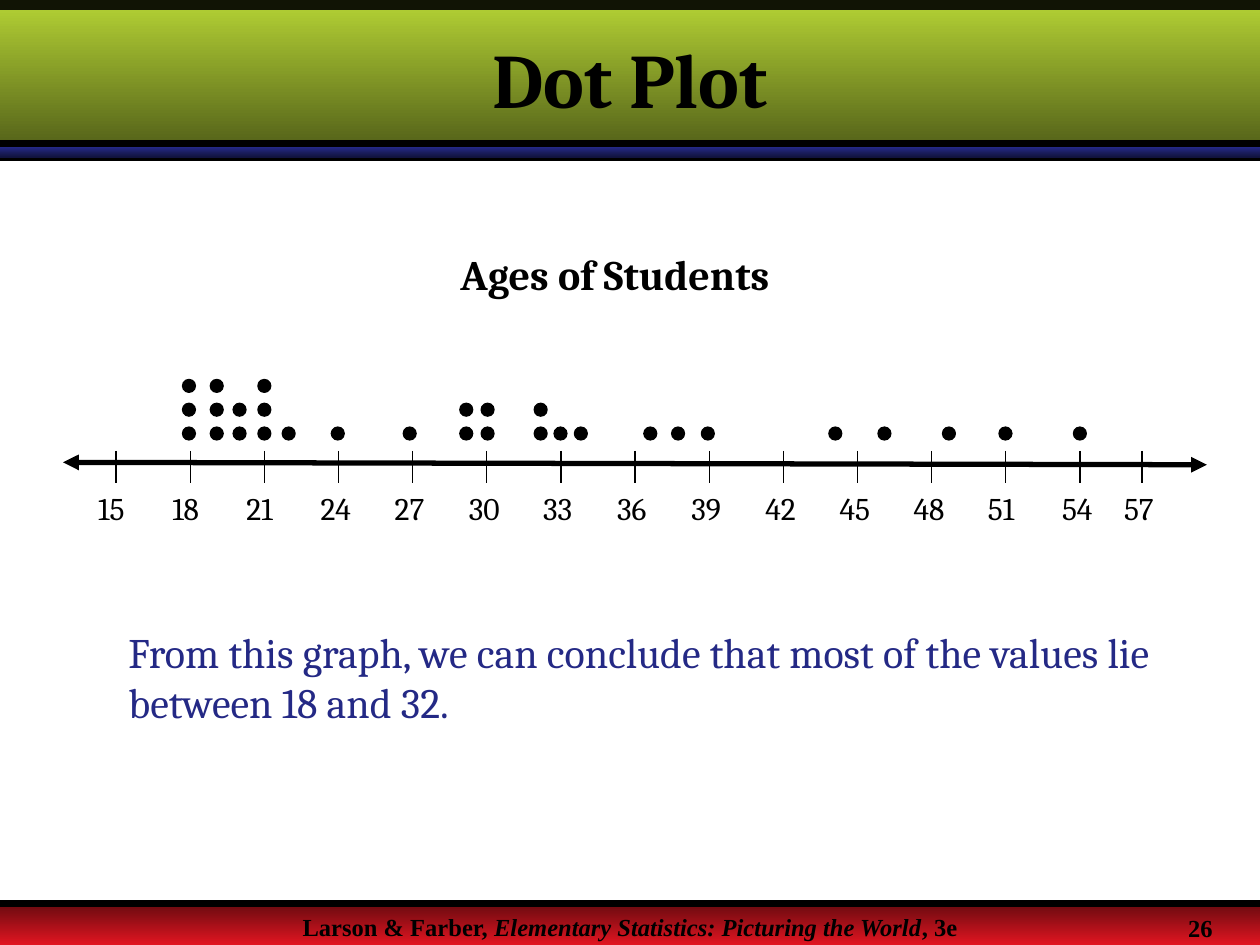
from lxml import etree
from pptx import Presentation
from pptx.dml.color import RGBColor
from pptx.enum.shapes import MSO_CONNECTOR, MSO_SHAPE
from pptx.enum.text import MSO_ANCHOR, PP_ALIGN
from pptx.oxml.ns import qn
from pptx.util import Cm, Pt

RECT, OVAL, STRAIGHT = MSO_SHAPE.RECTANGLE, MSO_SHAPE.OVAL, MSO_CONNECTOR.STRAIGHT
LEFT, CENTER = PP_ALIGN.LEFT, PP_ALIGN.CENTER
TOP, MIDDLE = MSO_ANCHOR.TOP, MSO_ANCHOR.MIDDLE

COLORS = {
    "black": "000000", "navy": "242985", "navy dark": "11133E",
    "green": "B5D335", "green dark": "546219",
    "red": "E11521", "red dark": "680A0F",
}
SERIF, BODY = "Times New Roman", "Cambria"
WIDTH, HEIGHT = 25.4, 19.05

# Content: lengths in cm
TITLE = "Dot Plot"
CHART_TITLE = "Ages of Students"
CONCLUSION = ("From this graph, we can conclude that most of the values lie "
              "between 18 and 32.")
FOOTER = [("Larson & Farber, ", False),
          ("Elementary Statistics: Picturing the World", True),
          (", 3e", False)]
PAGE = "26"

# (age, number of students, centre of the column)
DOTS = [
    (18, 3, 3.81), (19, 3, 4.37), (20, 2, 4.83), (21, 3, 5.33), (22, 1, 5.82),
    (24, 1, 6.81), (27, 1, 8.26), (29, 2, 9.4), (30, 2, 9.83), (32, 2, 10.9),
    (33, 1, 11.3), (34, 1, 11.71), (37, 1, 13.11), (38, 1, 13.67),
    (39, 1, 14.27), (44, 1, 16.84), (46, 1, 17.83), (49, 1, 19.13),
    (51, 1, 20.27), (54, 1, 21.77),
]
DOT, DOT_TOP, DOT_PITCH = 0.26, 8.61, 0.48

# Evenly spaced ticks; the final one sits closer to its neighbour
AGES = list(range(15, 55, 3))
FIRST_TICK, LAST_EVEN_TICK = 2.34, 21.77
END_TICK = (57, 23.02)
TICK_TOP, TICK_BOTTOM, LABEL_SHIFT = 9.09, 9.74, 0.61

prs = Presentation()
prs.slide_width, prs.slide_height = Cm(WIDTH), Cm(HEIGHT)
s = prs.slides.add_slide(prs.slide_layouts[6])


def rgb(name):
    return RGBColor.from_string(COLORS[name])


def add_shape(kind, x, y, w, h):
    sp = s.shapes.add_shape(kind, Cm(x), Cm(y), Cm(w), Cm(h))
    sp.shadow.inherit = False
    return sp


def add_band(y, h, top_color, bottom_color):
    sp = add_shape(RECT, 0, y, WIDTH, h)
    sp.line.fill.background()
    sp.fill.gradient()
    sp.fill.gradient_angle = 270
    for stop, name in zip(sp.fill.gradient_stops, (top_color, bottom_color)):
        stop.color.rgb = rgb(name)


def add_line(x1, y1, x2, y2, width, arrows=False):
    ln = s.shapes.add_connector(STRAIGHT, Cm(x1), Cm(y1), Cm(x2), Cm(y2))
    ln.line.color.rgb = rgb("black")
    ln.line.width = Pt(width)
    if arrows:
        for end in ("a:headEnd", "a:tailEnd"):
            etree.SubElement(ln.line._get_or_add_ln(), qn(end), type="triangle")
    etree.SubElement(ln._element.spPr, qn("a:effectLst"))


def add_text(x, y, w, h, runs, size, font=BODY, color="black", bold=False,
             align=LEFT, anchor=TOP):
    tf = s.shapes.add_textbox(Cm(x), Cm(y), Cm(w), Cm(h)).text_frame
    tf.word_wrap = True
    tf.vertical_anchor = anchor
    p = tf.paragraphs[0]
    p.alignment = align
    for text, italic in runs:
        r = p.add_run()
        r.text = text
        r.font.name, r.font.size = font, Pt(size)
        r.font.bold, r.font.italic = bold, italic
        r.font.color.rgb = rgb(color)


# Footer and header bands
add_band(18.21, 0.84, "red dark", "red")
add_line(0, 3.18, WIDTH, 3.18, 4)
add_text(0, 18.26, WIDTH, 0.51, FOOTER, 14, SERIF, bold=True, align=CENTER)
add_band(2.97, 0.2, "navy", "navy dark")
add_band(0, 2.97, "green", "green dark")
add_line(0, 18.21, WIDTH, 18.21, 4)
strip = add_shape(RECT, 0, 0, WIDTH, 0.2)
strip.line.fill.background()
strip.fill.solid()
strip.fill.fore_color.rgb = rgb("black")
strip_color = strip._element.spPr.find(qn("a:solidFill"))[0]
etree.SubElement(strip_color, qn("a:alpha"), val="90000")
add_line(0, 2.9, WIDTH, 2.9, 4)
add_text(23.7, 18.29, 1.7, 0.76, [(PAGE, False)], 14, SERIF, bold=True)

# Titles and conclusion
add_text(0, 0.2, WIDTH, 2.74, [(TITLE, False)], 44, bold=True,
         align=CENTER, anchor=MIDDLE)
add_text(8.05, 4.88, 8.69, 1.27, [(CHART_TITLE, False)], 24, bold=True,
         align=CENTER)
add_text(2.34, 12.5, 21.16, 2.29, [(CONCLUSION, False)], 24, color="navy")

# Number line
add_line(1.27, 9.32, 24.33, 9.37, 3, arrows=True)
step = (LAST_EVEN_TICK - FIRST_TICK) / (len(AGES) - 1)
ticks = [(age, FIRST_TICK + i * step) for i, age in enumerate(AGES)]
for age, x in ticks + [END_TICK]:
    add_line(x, TICK_TOP, x, TICK_BOTTOM, 0.75)
    add_text(x - LABEL_SHIFT, TICK_BOTTOM, 1.27, 1.02, [(str(age), False)], 18)

# Stacked dots
for age, count, x in DOTS:
    for level in range(count):
        dot = add_shape(OVAL, x - DOT / 2, DOT_TOP - level * DOT_PITCH, DOT, DOT)
        dot.fill.solid()
        dot.fill.fore_color.rgb = rgb("black")
        dot.line.color.rgb = rgb("black")
        dot.line.width = Pt(0.75)

prs.save("out.pptx")
